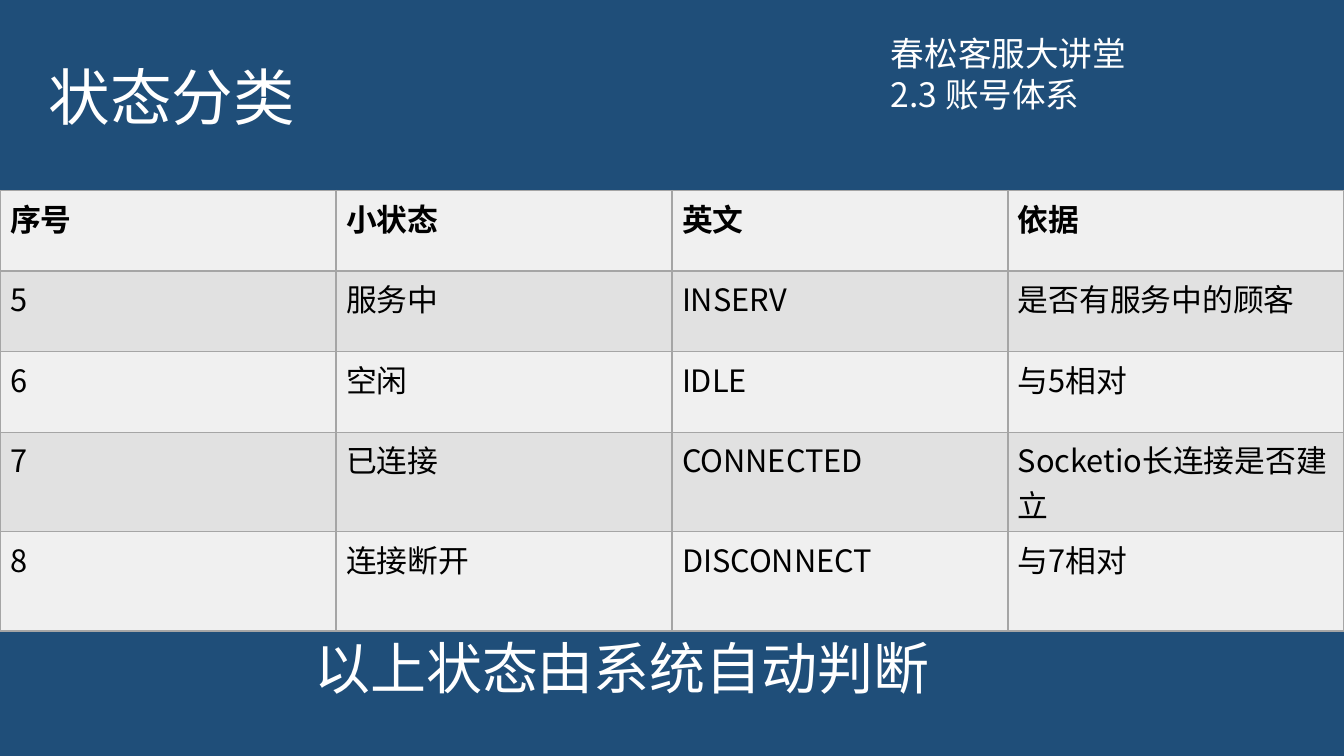
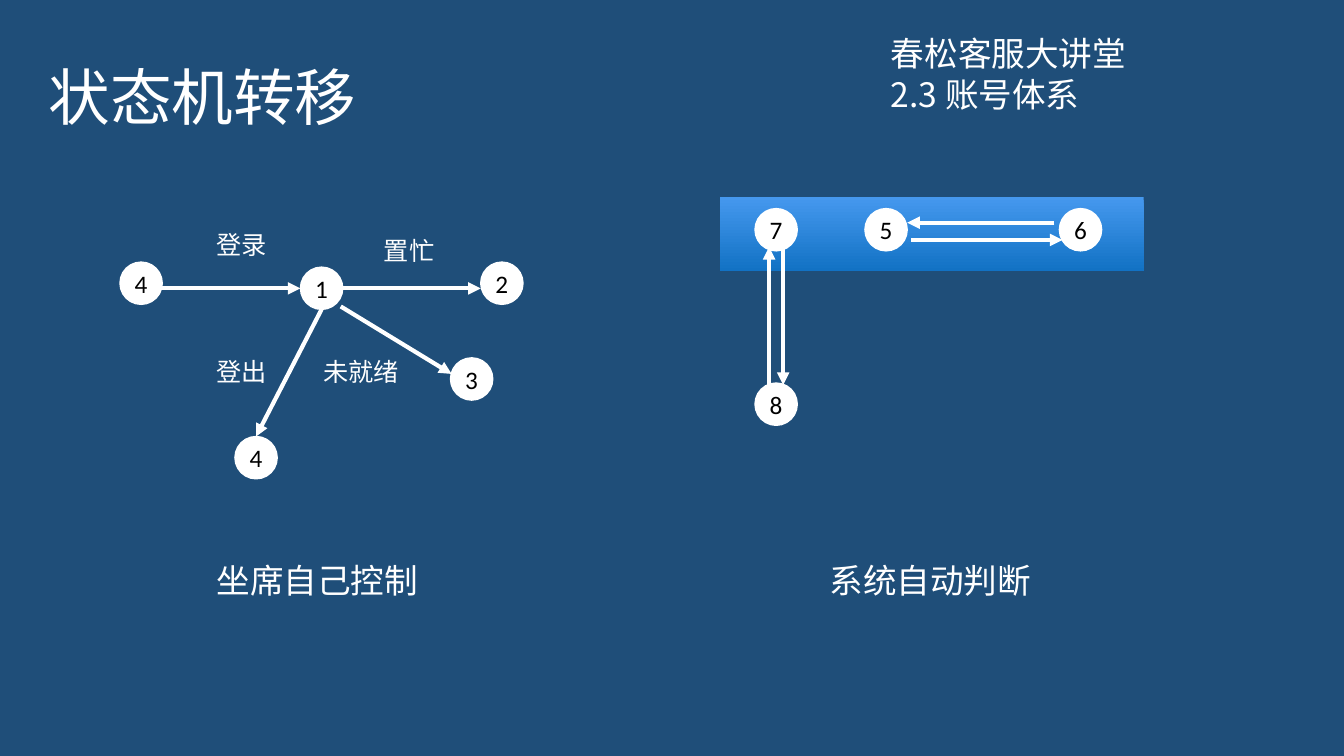
"""Build two slides on agent states: a state table and a state transition diagram."""
from lxml import etree
from pptx import Presentation
from pptx.dml.color import RGBColor
from pptx.enum.shapes import MSO_CONNECTOR, MSO_SHAPE
from pptx.enum.text import MSO_ANCHOR, PP_ALIGN
from pptx.oxml.ns import qn
from pptx.util import Pt

STRAIGHT = MSO_CONNECTOR.STRAIGHT
OVAL, RECT = MSO_SHAPE.OVAL, MSO_SHAPE.RECTANGLE
LEFT, CENTER = PP_ALIGN.LEFT, PP_ALIGN.CENTER
MIDDLE = MSO_ANCHOR.MIDDLE

CJK, LATIN = "Noto Sans CJK SC", "Calibri"
NAVY, WHITE, BLACK, GRAY = "1F4E79", "FFFFFF", "000000", "A5A5A5"
BANDS = ("F0F0F0", "E1E1E1")
GRADIENT = ("4598EE", "1272C4")

COURSE = [("2.3 账号体系", 629.3, 49, 153.4), ("春松客服大讲堂", 629.3, 20.2, 184.3)]

ROWS = [
    ("序号", "小状态", "英文", "依据"),
    ("5", "服务中", "INSERV", "是否有服务中的顾客"),
    ("6", "空闲", "IDLE", "与5相对"),
    ("7", "已连接", "CONNECTED", "Socketio长连接是否建立"),
    ("8", "连接断开", "DISCONNECT", "与7相对"),
]
ROW_HEIGHTS = (57.6, 57.6, 57.6, 71, 71)
TABLE_TOP, TABLE_WIDTH = 136, 960

NODE = 30.2
NODES = [
    ("4", 85.7, 187.2), ("1", 214.6, 190.8), ("2", 343.4, 187.2),
    ("3", 321.8, 255.6), ("4", 167.8, 311.8),
    ("7", 539.3, 149), ("5", 617.8, 149), ("6", 756.7, 149), ("8", 539.3, 273.6),
]
ARROWS = [
    (116, 206, 214.6, 206), (244.8, 206, 343.4, 206),
    (243.4, 218.9, 322.6, 267.1), (229.7, 221, 182.9, 311.8),
    (559.4, 174.2, 559.4, 275), (549.4, 276.5, 549.4, 176.4),
    (753.1, 159.1, 648, 159.1), (650.9, 171.4, 758.9, 171.4),
]
LABELS = [
    ("登录", 147.6, 160.6, 51.2), ("置忙", 267.1, 164.2, 51.2),
    ("未就绪", 223.9, 251.3, 69.2), ("登出", 147.6, 251.3, 51.2),
]
CAPTIONS = [("坐席自己控制", 147.6, 396.7, 160), ("系统自动判断", 585.4, 396.7, 160)]


def rgb(value):
    return RGBColor.from_string(value)


def write(tf, text, size=24, font=CJK, color=WHITE, bold=False, align=LEFT, spacing=None):
    p = tf.paragraphs[0]
    p.alignment = align
    p.line_spacing = spacing
    r = p.add_run()
    r.text = text
    r.font.size, r.font.bold, r.font.name = Pt(size), bold, font
    r.font.color.rgb = rgb(color)
    etree.SubElement(r.font._element, qn("a:ea"), typeface=font)


def add_label(s, text, x, y, width, size=24):
    tf = s.shapes.add_textbox(Pt(x), Pt(y), Pt(width), Pt(size * 1.2 + 7.2)).text_frame
    tf.word_wrap = True
    write(tf, text, size=size)


def add_slide(prs, title):
    s = prs.slides.add_slide(prs.slide_layouts[5])
    sp = s.shapes.title
    sp.left, sp.top, sp.width, sp.height = Pt(27.4), Pt(19.4), Pt(518.4), Pt(104.4)
    sp.text_frame.vertical_anchor = MIDDLE
    write(sp.text_frame, title, size=44, spacing=0.9)
    for item in COURSE:
        add_label(s, *item)
    return s


def add_borders(cell):
    tc_pr = cell._tc.get_or_add_tcPr()
    for side in ("lnL", "lnR", "lnT", "lnB"):
        ln = etree.SubElement(tc_pr, qn(f"a:{side}"), w=str(Pt(1)))
        fill = etree.SubElement(ln, qn("a:solidFill"))
        etree.SubElement(fill, qn("a:srgbClr"), val=GRAY)


def add_state_table(s):
    table = s.shapes.add_table(len(ROWS), len(ROWS[0]), 0, Pt(TABLE_TOP),
                               Pt(TABLE_WIDTH), Pt(sum(ROW_HEIGHTS))).table
    for column in table.columns:
        column.width = Pt(TABLE_WIDTH / len(ROWS[0]))
    for i, (values, height) in enumerate(zip(ROWS, ROW_HEIGHTS)):
        table.rows[i].height = Pt(height)
        for j, text in enumerate(values):
            cell = table.cell(i, j)
            add_borders(cell)
            cell.fill.solid()
            cell.fill.fore_color.rgb = rgb(BANDS[i % 2])
            write(cell.text_frame, text, size=22, color=BLACK, bold=i == 0)


def add_band(s):
    sp = s.shapes.add_shape(RECT, Pt(514), Pt(141), Pt(303), Pt(52.6))
    sp.shadow.inherit = False
    sp.line.fill.background()
    sp.fill.gradient()
    sp.fill.gradient_angle = 270
    for stop, position, color in zip(sp.fill.gradient_stops, (0, 1), GRADIENT):
        stop.position = position
        stop.color.rgb = rgb(color)


def add_node(s, text, x, y):
    sp = s.shapes.add_shape(OVAL, Pt(x), Pt(y), Pt(NODE), Pt(NODE))
    sp.shadow.inherit = False
    sp.fill.solid()
    sp.fill.fore_color.rgb = sp.line.color.rgb = rgb(WHITE)
    sp.line.width = Pt(1)
    tf = sp.text_frame
    tf.margin_left = tf.margin_right = tf.margin_top = tf.margin_bottom = 0
    tf.vertical_anchor = MIDDLE
    write(tf, text, size=18, font=LATIN, color=BLACK, align=CENTER)
    return sp


def add_arrow(s, points, nodes):
    line = s.shapes.add_connector(STRAIGHT, *map(Pt, points))
    line.line.color.rgb = rgb(WHITE)
    line.line.width = Pt(3)
    etree.SubElement(line.line._get_or_add_ln(), qn("a:tailEnd"), type="triangle")
    etree.SubElement(line._element.spPr, qn("a:effectLst"))
    for sp, (_, x, y) in zip(nodes, NODES):
        if abs(x + NODE / 2 - points[2]) < 0.1 and y == points[3]:
            line.end_connect(sp, 0)


def main():
    prs = Presentation()
    prs.slide_width, prs.slide_height = Pt(960), Pt(540)
    background = prs.slide_master.background.fill
    background.solid()
    background.fore_color.rgb = rgb(NAVY)

    s = add_slide(prs, "状态分类")
    add_state_table(s)
    add_label(s, "以上状态由系统自动判断", 217.4, 448.6, 458.6, size=40)

    s = add_slide(prs, "状态机转移")
    add_band(s)
    nodes = [add_node(s, *node) for node in NODES]
    for points in ARROWS:
        add_arrow(s, points, nodes)
    for label in LABELS:
        add_label(s, *label, size=18)
    for caption in CAPTIONS:
        add_label(s, *caption)
    prs.save("out.pptx")


if __name__ == "__main__":
    main()
